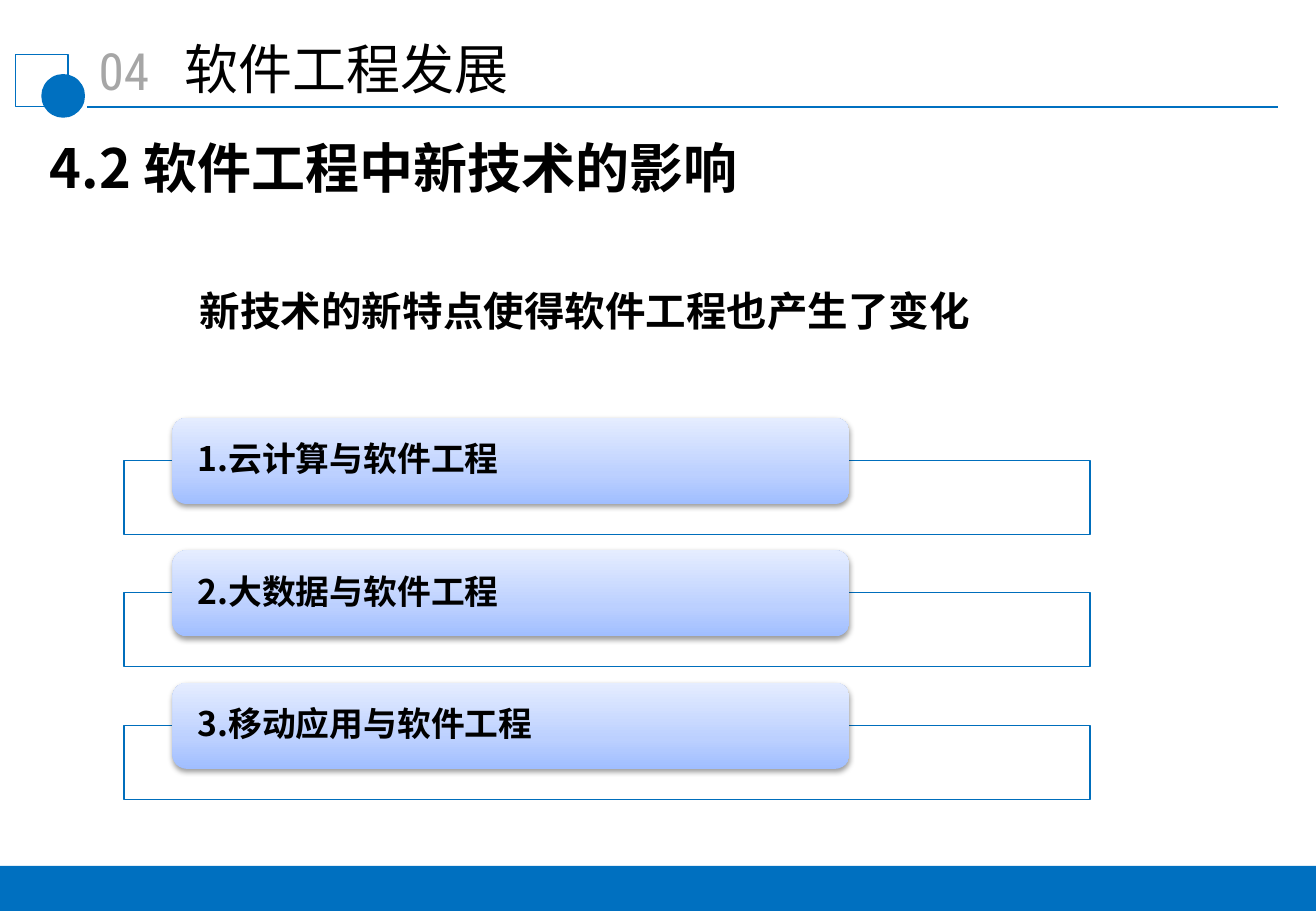
import pptx
import pptx.dml.color
import pptx.enum.shapes
import pptx.enum.text
import pptx.oxml
import pptx.oxml.ns
import pptx.util
from dataclasses import dataclass

Inches = pptx.util.Inches
Pt = pptx.util.Pt
Shape = pptx.enum.shapes.MSO_SHAPE
Anchor = pptx.enum.text.MSO_ANCHOR
Align = pptx.enum.text.PP_ALIGN


@dataclass(frozen=True)
class Theme:
    blue: str = "0070C0"
    frame: str = "006EBC"
    white: str = "FFFFFF"
    black: str = "000000"
    grey: str = "A6A6A6"
    gradient: tuple = ((0, "A0BEFF"), (35, "BCD0FF"), (100, "E5EDFF"))
    sans: str = "Noto Sans CJK SC"
    arial: str = "Arial"
    condensed: str = "Roboto Condensed"
    number: float = 30.4
    title: float = 32
    lead: float = 24
    label: float = 20


def rgb(value):
    return pptx.dml.color.RGBColor.from_string(value)


def element(xml):
    return pptx.oxml.parse_xml(xml.replace(">", f" {pptx.oxml.ns.nsdecls('a')}>", 1))


class SlideBuilder:
    def __init__(self, slide, theme):
        self.s = slide
        self.theme = theme

    def shape(self, kind, left, top, width, height, fill=None, line=None):
        sp = self.s.shapes.add_shape(
            kind, Inches(left), Inches(top), Inches(width), Inches(height))
        sp.shadow.inherit = False
        if fill:
            sp.fill.solid()
            sp.fill.fore_color.rgb = rgb(fill)
        else:
            sp.fill.background()
        if line:
            sp.line.color.rgb = rgb(line)
            sp.line.width = Pt(0.75)
        else:
            sp.line.fill.background()
        return sp

    def line(self, x1, y1, x2, y2, color, width):
        cx = self.s.shapes.add_connector(
            pptx.enum.shapes.MSO_CONNECTOR.STRAIGHT,
            Inches(x1), Inches(y1), Inches(x2), Inches(y2))
        cx.line.color.rgb = rgb(color)
        cx.line.width = Pt(width)
        cx._element.spPr.append(element("<a:effectLst></a:effectLst>"))

    def add_text(self, sp, text, size, font, color=None, bold=False,
                 align=Align.LEFT, anchor=Anchor.TOP, insets=(0.1, 0.05)):
        """Fill a shape with one run; insets are horizontal, then vertical."""
        tf = sp.text_frame
        tf.word_wrap = True
        tf.vertical_anchor = anchor
        tf.margin_left = tf.margin_right = Inches(insets[0])
        tf.margin_top = tf.margin_bottom = Inches(insets[1])
        p = tf.paragraphs[0]
        p.alignment = align
        r = p.add_run()
        r.text = text
        r.font.size = Pt(size)
        r.font.bold = bold
        r.font.color.rgb = rgb(color or self.theme.black)
        r.font.name = font
        r.font._element.append(element(f'<a:ea typeface="{self.theme.sans}"></a:ea>'))
        return p

    def text_box(self, left, top, width, height, *content, **style):
        sp = self.s.shapes.add_textbox(
            Inches(left), Inches(top), Inches(width), Inches(height))
        return self.add_text(sp, *content, **style)

    def topic(self, top, text):
        """Draw an outlined frame with a raised gradient label over its top edge."""
        t = self.theme
        frame = self.shape(Shape.RECTANGLE, 1.02, top + 0.35, 7.95, 0.61, t.white, t.frame)
        frame._element.spPr.find(".//" + pptx.oxml.ns.qn("a:srgbClr")).append(
            element('<a:alpha val="90000"></a:alpha>'))

        label = self.shape(Shape.ROUNDED_RECTANGLE, 1.42, top, 5.57, 0.71)
        stops = "".join(f'<a:gs pos="{pos * 1000}"><a:srgbClr val="{color}"/></a:gs>'
                        for pos, color in t.gradient)
        spPr = label._element.spPr
        spPr.replace(spPr.find(pptx.oxml.ns.qn("a:noFill")), element(
            f'<a:gradFill><a:gsLst>{stops}</a:gsLst>'
            '<a:lin ang="16200000" scaled="0"/></a:gradFill>'))
        spPr.find(pptx.oxml.ns.qn("a:effectLst")).append(element(
            f'<a:outerShdw blurRad="{Pt(3.1)}" dist="{Pt(1.6)}" dir="5400000" '
            f'rotWithShape="0"><a:srgbClr val="{t.black}"><a:alpha val="38000"/>'
            '</a:srgbClr></a:outerShdw>'))
        p = self.add_text(label, text, t.label, t.sans, bold=True,
                          anchor=Anchor.MIDDLE, insets=(0.17, 0))
        p.line_spacing = 0.9


def main():
    prs = pptx.Presentation()
    prs.slide_width, prs.slide_height = Inches(10.83), Inches(7.5)
    t = Theme()
    b = SlideBuilder(prs.slides.add_slide(prs.slide_layouts[6]), t)

    b.line(0.72, 0.88, 10.52, 0.88, t.blue, 1.25)
    b.shape(Shape.RECTANGLE, 0.13, 0.45, 0.43, 0.43, line=t.blue)
    b.shape(Shape.OVAL, 0.34, 0.61, 0.36, 0.36, fill=t.blue)
    b.text_box(0.52, 0.27, 1, 0.62, "04", t.number, t.condensed,
               color=t.grey, align=Align.CENTER, insets=(0.11, 0.05))
    b.text_box(1.41, 0.24, 4.95, 0.65, "软件工程发展", t.title, t.arial,
               insets=(0.11, 0.05))
    b.text_box(0.34, 1.07, 8.15, 0.66, "4.2 软件工程中新技术的影响", t.title, t.sans,
               bold=True, insets=(0.07, 0.04))

    topics = ("1.云计算与软件工程", "2.大数据与软件工程", "3.移动应用与软件工程")
    for i, topic in enumerate(topics):
        b.topic(3.44 + 1.09 * i, topic)

    lead = b.shape(Shape.ROUNDED_RECTANGLE, 1.02, 2.28, 9.29, 0.56)
    p = b.add_text(lead, "新技术的新特点使得软件工程也产生了变化", t.lead, t.sans, bold=True)
    p._p.get_or_add_pPr().set("indent", str(Inches(0.5)))
    b.shape(Shape.RECTANGLE, 0, 7.13, 10.83, 0.37, fill=t.blue)

    prs.save("out.pptx")


if __name__ == "__main__":
    main()
